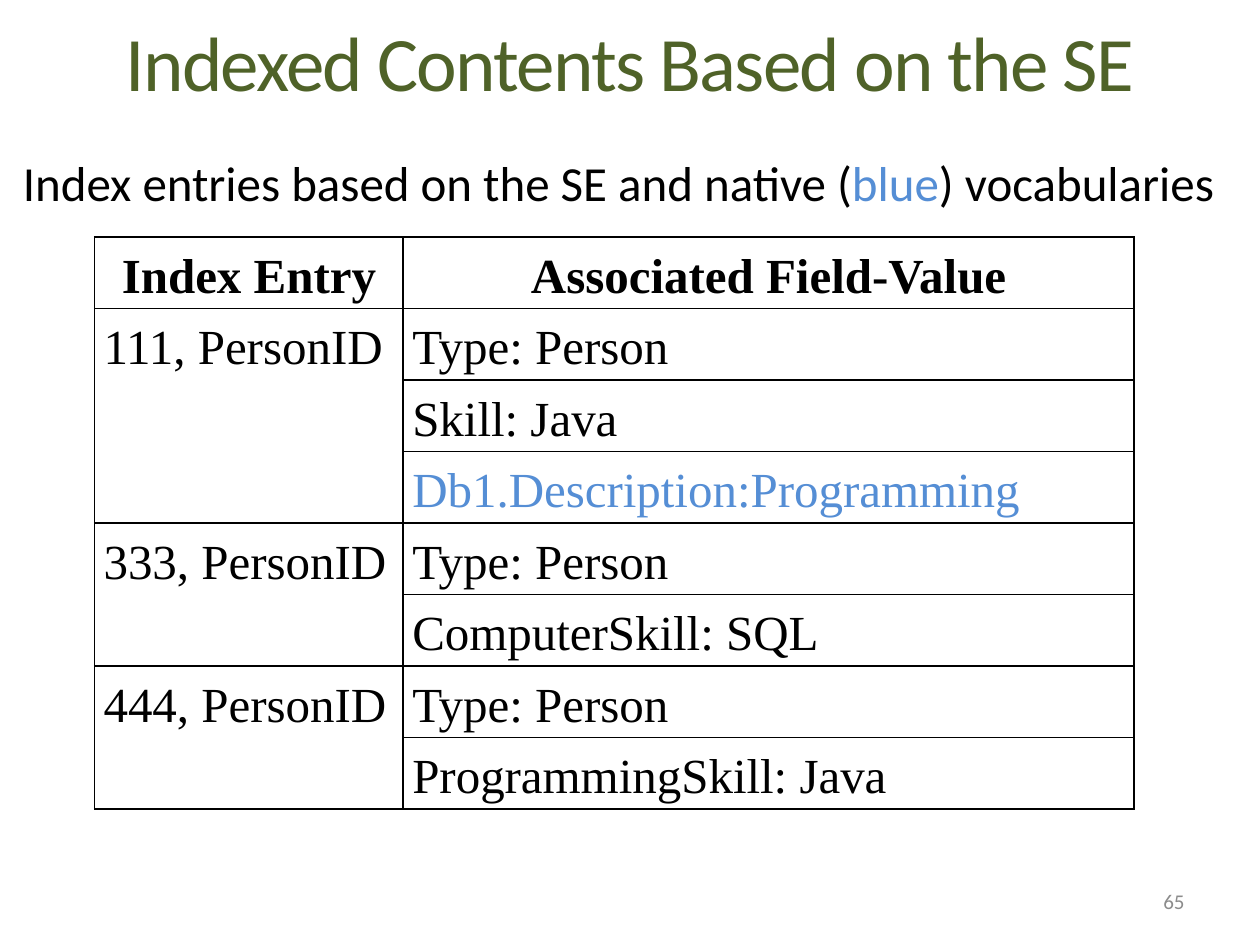
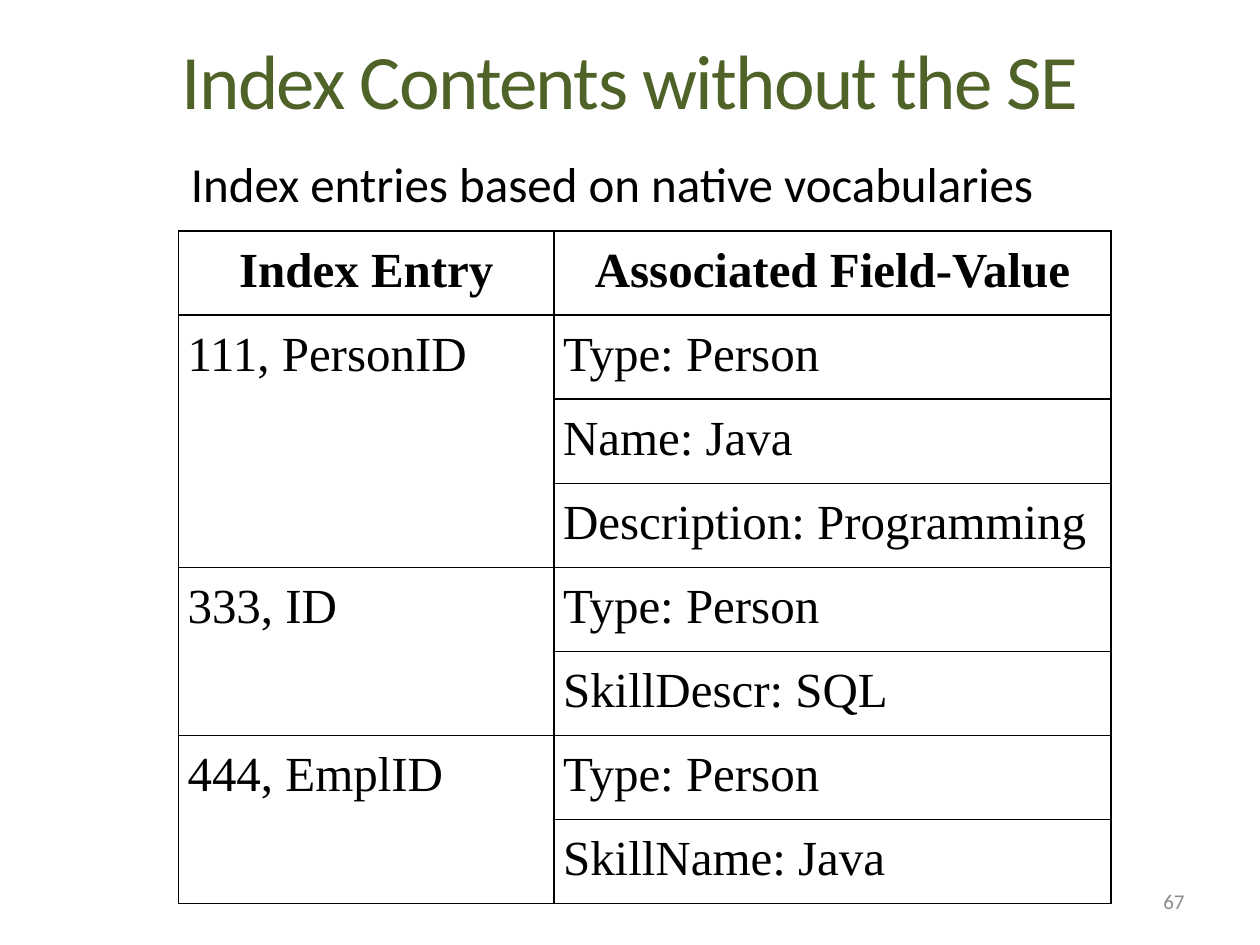
from lxml import etree
from pptx import Presentation
from pptx.dml.color import RGBColor
from pptx.enum.text import MSO_ANCHOR, PP_ALIGN
from pptx.oxml.ns import qn
from pptx.util import Pt

LEFT, CENTER, RIGHT = PP_ALIGN.LEFT, PP_ALIGN.CENTER, PP_ALIGN.RIGHT
TOP, MIDDLE = MSO_ANCHOR.TOP, MSO_ANCHOR.MIDDLE

COLORS = {"title": "4F6228", "text": "000000", "native": "558ED5",
          "number": "8C8C8C", "border": "000000"}
BODY_FONT, TABLE_FONT = "Calibri", "Times New Roman"
HEADERS = ("Index Entry", "Associated Field-Value")


class IndexDeck:
    """Holds the shared style and the current slide."""

    def __init__(self):
        self.deck = Presentation()
        self.deck.slide_width, self.deck.slide_height = Pt(720), Pt(540)
        self.page = None

    def add_page(self, number):
        self.page = self.deck.slides.add_slide(self.deck.slide_layouts[6])
        self.text((516, 500.5, 168, 28.75), [(str(number), "number")], 12, RIGHT, MIDDLE)

    def add_spans(self, para, spans, size, font, align=LEFT, bold=False):
        para.alignment = align
        for words, color in spans:
            span = para.add_run()
            span.text = words
            span.font.name, span.font.size, span.font.bold = font, Pt(size), bold
            span.font.color.rgb = RGBColor.from_string(COLORS[color])

    def text(self, place, spans, size, align=LEFT, anchor=TOP):
        box = self.page.shapes.add_textbox(*map(Pt, place))
        box.text_frame.word_wrap = True
        box.text_frame.vertical_anchor = anchor
        para = box.text_frame.paragraphs[0]
        self.add_spans(para, spans, size, BODY_FONT, align)
        return para

    def title(self, words, top, height):
        para = self.text((36, top, 648, height), [(words, "title")], 44, CENTER, MIDDLE)
        for span in para.runs:
            span.font._element.set("spc", "-100")

    def border(self, cell):
        properties = cell._tc.get_or_add_tcPr()
        for side in ("lnL", "lnR", "lnT", "lnB"):
            line = etree.SubElement(properties, qn(f"a:{side}"), w=str(Pt(1)))
            fill = etree.SubElement(line, qn("a:solidFill"))
            etree.SubElement(fill, qn("a:srgbClr"), val=COLORS["border"])

    def fill_cell(self, cell, words, color="text", align=LEFT, bold=False):
        para = cell.text_frame.paragraphs[0]
        self.add_spans(para, [(words, color)], 28, TABLE_FONT, align, bold)

    def index_table(self, left, top, widths, row_height, bottom_inset, entries):
        count = 1 + sum(len(values) for _, values in entries)
        frame = self.page.shapes.add_table(
            count, len(widths), Pt(left), Pt(top), Pt(sum(widths)), Pt(row_height * count))
        table = frame.table
        table.first_row = table.horz_banding = False
        for column, width in zip(table.columns, widths):
            column.width = Pt(width)
        for row in table.rows:
            row.height = Pt(row_height)
        for cell in table.iter_cells():
            cell.margin_left = cell.margin_right = Pt(5.2)
            cell.margin_top, cell.margin_bottom = Pt(7.2), Pt(bottom_inset)
            self.border(cell)
            cell.fill.background()

        for column, header in enumerate(HEADERS):
            self.fill_cell(table.cell(0, column), header, align=CENTER, bold=True)
        # Each entry spans the rows of its field values
        first = 1
        for entry, values in entries:
            last = first + len(values) - 1
            table.cell(first, 0).merge(table.cell(last, 0))
            self.fill_cell(table.cell(first, 0), entry)
            for row, value in enumerate(values, first):
                color = "native" if value.startswith("Db1.") else "text"
                self.fill_cell(table.cell(row, 1), value, color)
            first = last + 1


def main():
    show = IndexDeck()

    # Index with the SE
    show.add_page(65)
    show.title("Indexed Contents Based on the SE", 0.75, 67.5)
    show.text((6, 83.5, 702, 42.5),
              [("Index entries based on the SE and native (", "text"),
               ("blue", "native"), (") vocabularies", "text")], 28)
    show.index_table(54, 135.5, (176.4, 417.6), 38.2, 0, [
        ("111, PersonID", ["Type: Person", "Skill: Java", "Db1.Description:Programming"]),
        ("333, PersonID", ["Type: Person", "ComputerSkill: SQL"]),
        ("444, PersonID", ["Type: Person", "ProgrammingSkill: Java"])])

    # Index without the SE
    show.add_page(67)
    show.title("Index Contents without the SE", 0, 90)
    show.text((102, 84, 534, 41), [("Index entries based on native vocabularies", "text")], 28)
    show.index_table(102, 132, (214.6, 318.2), 45.4, 7.2, [
        ("111, PersonID", ["Type: Person", "Name: Java", "Description: Programming"]),
        ("333, ID", ["Type: Person", "SkillDescr: SQL"]),
        ("444, EmplID", ["Type: Person", "SkillName: Java"])])

    show.deck.save("out.pptx")


if __name__ == "__main__":
    main()
